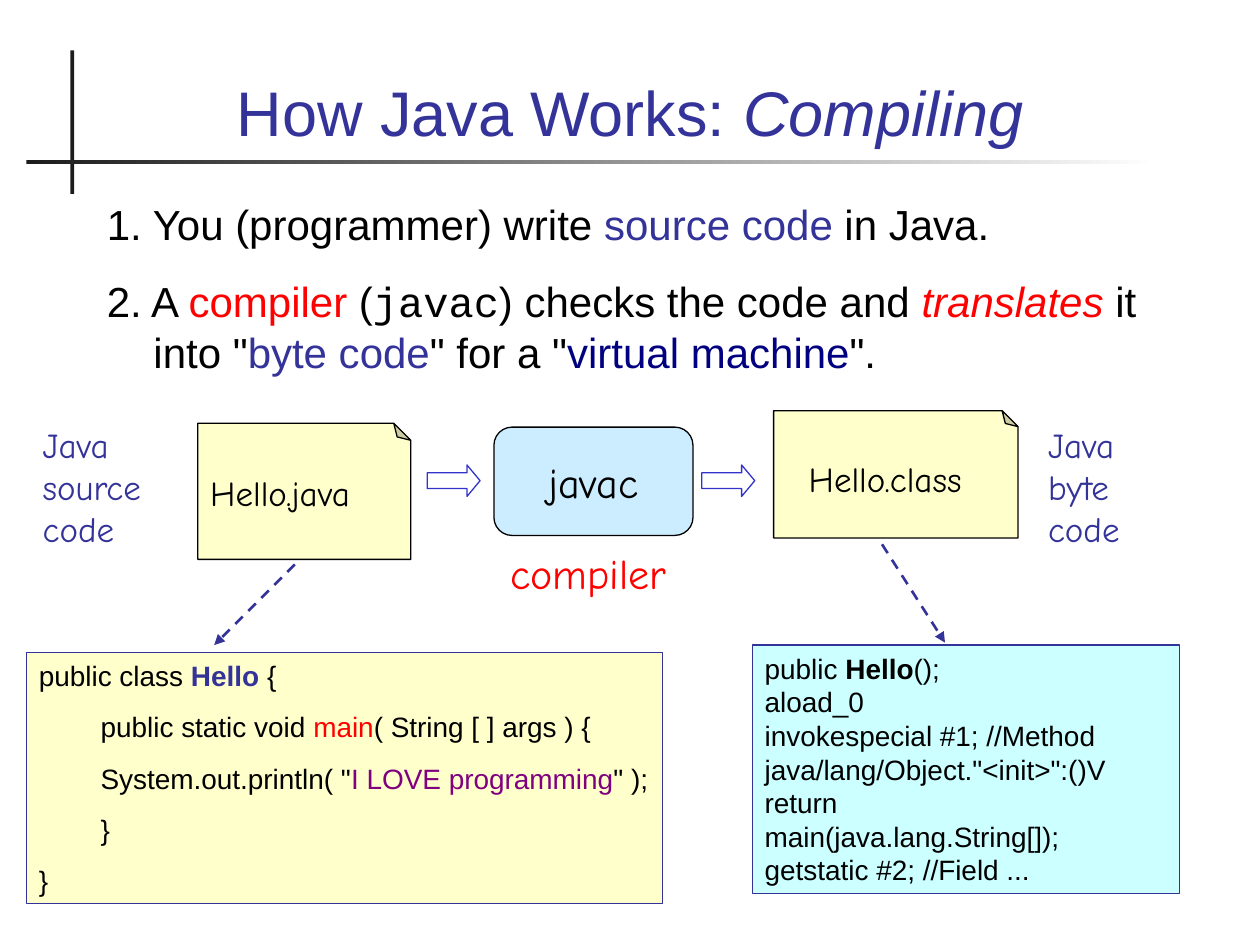
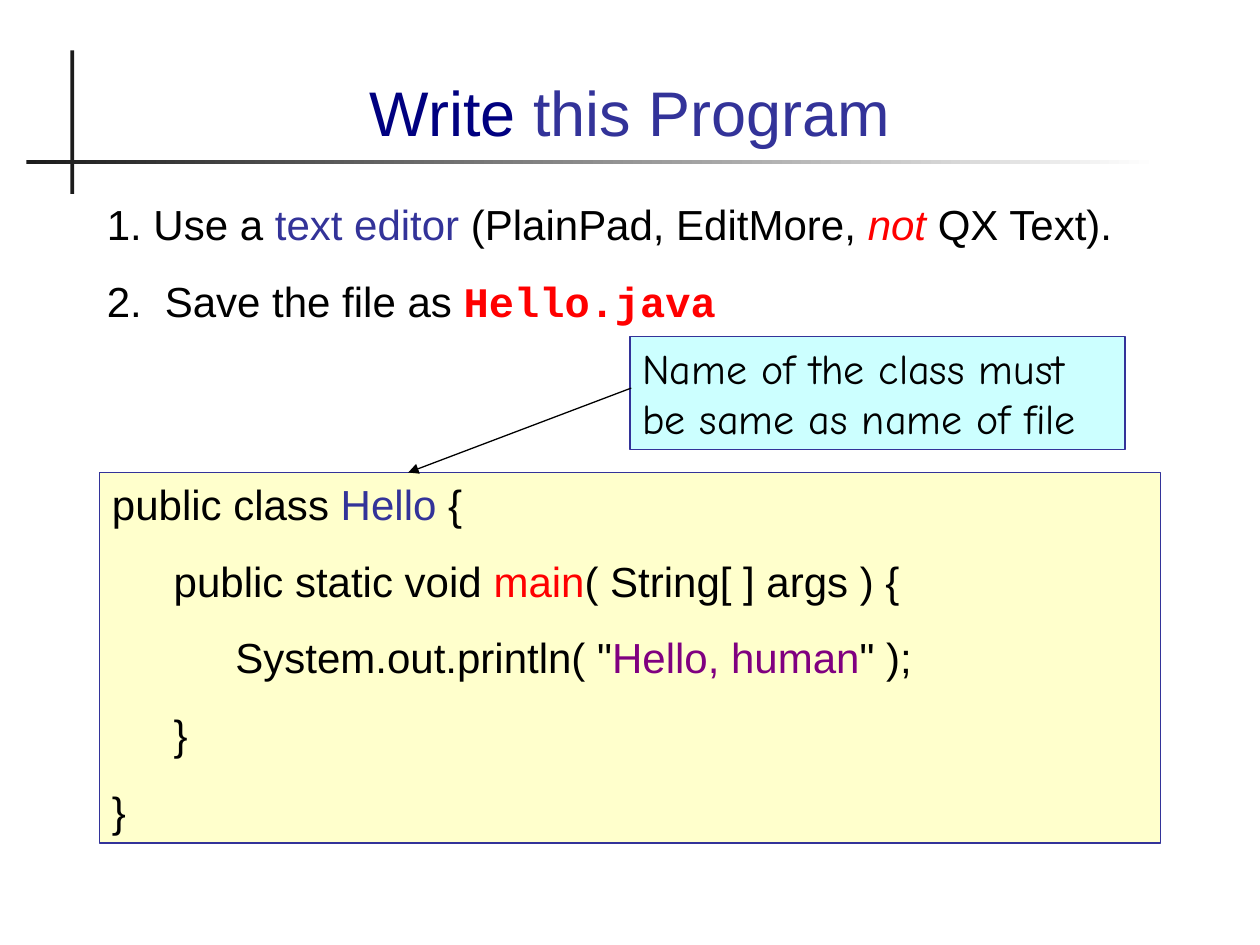
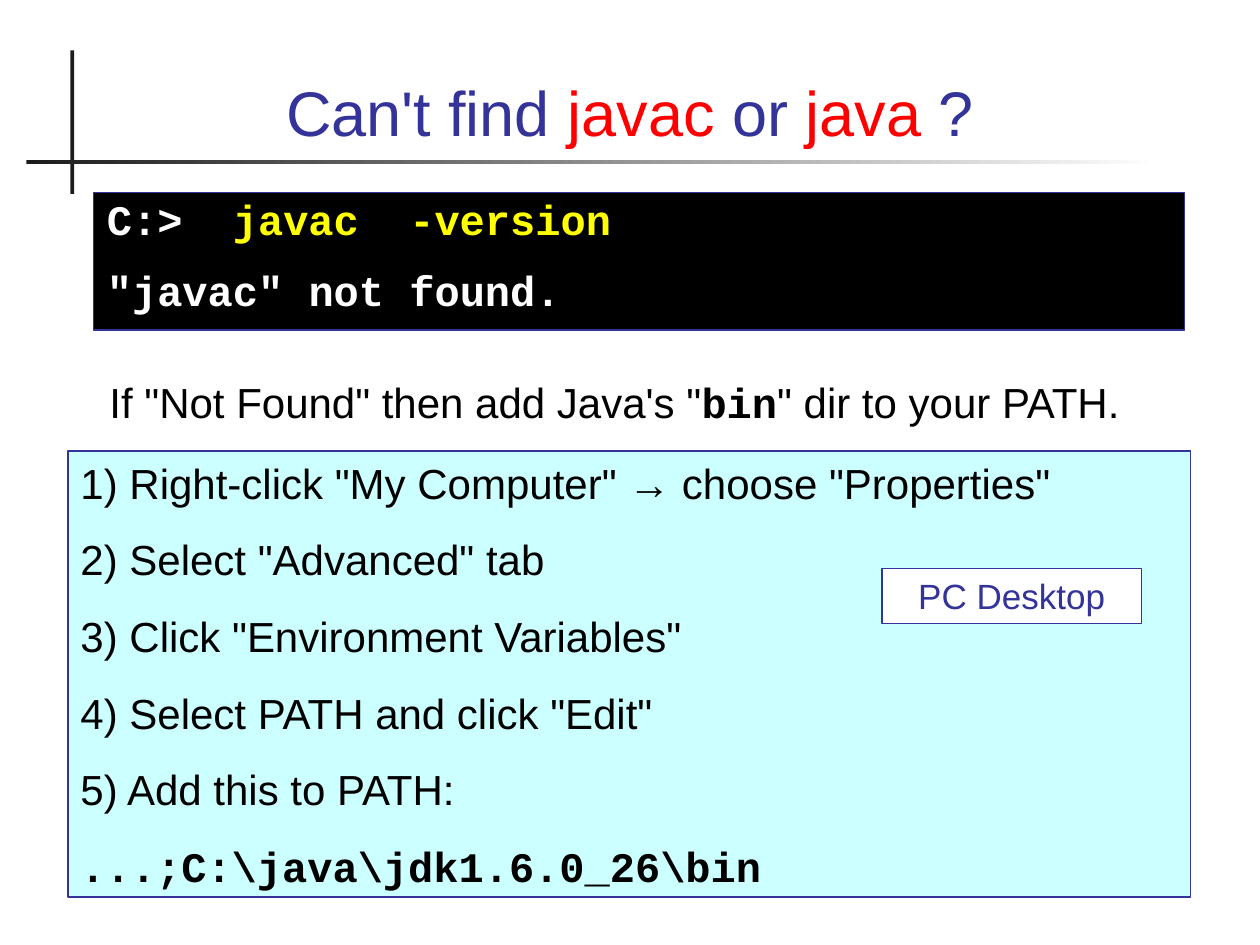
from dataclasses import dataclass
from typing import NamedTuple, Optional

import lxml.etree
import pptx
import pptx.dml.color
import pptx.enum.dml
import pptx.enum.shapes
import pptx.enum.text
import pptx.oxml.ns
import pptx.util

RGBColor = pptx.dml.color.RGBColor
Kind = pptx.enum.shapes.MSO_SHAPE
Align = pptx.enum.text.PP_ALIGN
Anchor = pptx.enum.text.MSO_ANCHOR
qn = pptx.oxml.ns.qn

# Shared colours
BLACK = RGBColor(0x00, 0x00, 0x00)
WHITE = RGBColor(0xFF, 0xFF, 0xFF)
CHARCOAL = RGBColor(0x1C, 0x1C, 0x1C)
INDIGO = RGBColor(0x33, 0x33, 0x99)
BLUE = RGBColor(0x33, 0x33, 0xCC)
NAVY = RGBColor(0x00, 0x00, 0x80)
RED = RGBColor(0xFF, 0x00, 0x00)
PURPLE = RGBColor(0x80, 0x00, 0x80)
YELLOW = RGBColor(0xFF, 0xFF, 0x00)
CREAM = RGBColor(0xFF, 0xFF, 0xCC)
AQUA = RGBColor(0xCC, 0xFF, 0xFF)
SKY = RGBColor(0xCC, 0xEC, 0xFF)

# Shared type
SANS = "Arial"
HAND = "Comic Neue"
MONO = "Courier New"
GAP = 0.625  # space between paragraphs, as a share of the text size

# Grid of 100 columns by 75 rows
WIDTH, HEIGHT = pptx.util.Inches(10), pptx.util.Inches(7.5)
COLUMN, ROW = WIDTH / 100, HEIGHT / 75
CODE_STEP = 4.9  # one level of code indentation, in columns
NUMBER_HANG = 3.7  # width kept for an item number, in columns


class Spot(NamedTuple):
    """Left and width in columns, top and height in rows."""
    left: float
    top: float
    width: float
    height: float

    def lengths(self) -> tuple[int, int, int, int]:
        return (round(self.left * COLUMN), round(self.top * ROW),
                round(self.width * COLUMN), round(self.height * ROW))


class Span(NamedTuple):
    text: str
    color: Optional[RGBColor] = None
    bold: bool = False
    italic: bool = False
    font: Optional[str] = None


class Line(NamedTuple):
    spans: tuple[Span, ...]
    indent: float = 0
    hang: float = 0


class Guide(NamedTuple):
    """Named preset adjustment, in thousandths of a percent."""
    name: str
    value: int


@dataclass(frozen=True)
class TextStyle:
    size: float = 24
    color: RGBColor = BLACK
    font: str = SANS
    align: Align = Align.LEFT
    anchor: Anchor = Anchor.TOP
    gap: float = GAP
    spacing: Optional[float] = None


@dataclass(frozen=True)
class Panel:
    spot: Spot
    lines: tuple[Line, ...] = ()
    style: TextStyle = TextStyle()
    kind: Optional[Kind] = None  # None gives a plain text box
    fill: Optional[RGBColor] = None
    border: RGBColor = INDIGO
    guides: tuple[Guide, ...] = ()
    flipped: bool = False


@dataclass(frozen=True)
class Arrow:
    start: tuple[float, float]
    end: tuple[float, float]
    color: RGBColor
    weight: float
    dashed: bool = False


TITLE_STYLE = TextStyle(36, INDIGO, align=Align.CENTER, anchor=Anchor.BOTTOM)
TITLE_SPOT = Spot(6.7, 2.8, 86.6, 9.5)
BODY = TextStyle()
SMALL_CODE = TextStyle(16)
BYTE_CODE = TextStyle(16, gap=0)
FILE_NAME = TextStyle(20, font=HAND)
SIDE_NOTE = TextStyle(20, INDIGO, HAND)


def line(*parts: str | Span, indent: float = 0, hang: float = 0) -> Line:
    spans = (part if isinstance(part, Span) else Span(part) for part in parts)
    return Line(tuple(spans), indent, hang)


def item(*parts: str | Span, hang: float = NUMBER_HANG) -> Line:
    return line(*parts, indent=hang + 0.1, hang=hang)


def code(level: int, *parts: str | Span) -> Line:
    return line(*parts, indent=level * CODE_STEP)


def write(frame, lines: tuple[Line, ...], style: TextStyle) -> None:
    frame.word_wrap = True
    frame.auto_size = pptx.enum.text.MSO_AUTO_SIZE.NONE
    frame.vertical_anchor = style.anchor
    for index, entry in enumerate(lines):
        para = frame.add_paragraph() if index else frame.paragraphs[0]
        para.alignment = style.align
        para.space_before = pptx.util.Pt(style.gap * style.size if index else 0)
        if style.spacing:
            para.line_spacing = style.spacing
        properties = para._p.get_or_add_pPr()
        properties.set("marL", str(round(entry.indent * COLUMN)))
        properties.set("indent", str(round(-entry.hang * COLUMN)))
        for span in entry.spans:
            if span.text == "\n":
                para.add_line_break()
                continue
            run = para.add_run()
            run.text = span.text
            run.font.size = pptx.util.Pt(style.size)
            run.font.name = span.font or style.font
            run.font.bold = span.bold
            run.font.italic = span.italic
            run.font.color.rgb = span.color or style.color


def set_guides(box, guides: tuple[Guide, ...]) -> None:
    values = box.element.spPr.find(qn("a:prstGeom")).find(qn("a:avLst"))
    for old in list(values):
        values.remove(old)
    for guide in guides:
        entry = lxml.etree.SubElement(values, qn("a:gd"))
        entry.set("name", guide.name)
        entry.set("fmla", f"val {guide.value}")


def draw_panel(page, panel: Panel) -> None:
    if panel.kind is None:
        box = page.shapes.add_textbox(*panel.spot.lengths())
    else:
        box = page.shapes.add_shape(panel.kind, *panel.spot.lengths())
        box.shadow.inherit = False
        box.line.color.rgb = panel.border
        box.line.width = pptx.util.Pt(0.75)
        if panel.fill is None:
            box.fill.background()
        else:
            box.fill.solid()
            box.fill.fore_color.rgb = panel.fill
        if panel.guides:
            set_guides(box, panel.guides)
        if panel.flipped:
            box.element.spPr.find(qn("a:xfrm")).set("flipV", "1")
    if panel.lines:
        write(box.text_frame, panel.lines, panel.style)


def draw_arrow(page, arrow: Arrow) -> None:
    (x1, y1), (x2, y2) = arrow.start, arrow.end
    connector = page.shapes.add_connector(
        pptx.enum.shapes.MSO_CONNECTOR.STRAIGHT,
        round(x1 * COLUMN), round(y1 * ROW), round(x2 * COLUMN), round(y2 * ROW))
    connector.line.color.rgb = arrow.color
    connector.line.width = pptx.util.Pt(arrow.weight)
    if arrow.dashed:
        connector.line.dash_style = pptx.enum.dml.MSO_LINE.DASH
    properties = connector.element.spPr
    head = lxml.etree.SubElement(properties.find(qn("a:ln")), qn("a:tailEnd"))
    head.set("type", "triangle")
    lxml.etree.SubElement(properties, qn("a:effectLst"))


def draw_title_rules(page) -> None:
    """Dark upright bar crossed by a rule that fades to the right."""
    upright, rule = (
        page.shapes.add_shape(Kind.RECTANGLE, *spot.lengths())
        for spot in (Spot(5.6, 4, 0.3, 11.4), Spot(2.1, 12.7, 89.9, 0.3)))
    for bar in (upright, rule):
        bar.shadow.inherit = False
        bar.line.fill.background()
    upright.fill.solid()
    upright.fill.fore_color.rgb = CHARCOAL
    rule.fill.gradient()
    rule.fill.gradient_angle = 0
    for stop, color in zip(rule.fill.gradient_stops, (CHARCOAL, WHITE)):
        stop.color.rgb = color


def add_page(deck, title: Line, panels: list[Panel], arrows: list[Arrow]) -> None:
    page = deck.slides.add_slide(deck.slide_layouts.get_by_name("Title Only"))
    draw_title_rules(page)
    heading = page.shapes.title
    heading.left, heading.top, heading.width, heading.height = TITLE_SPOT.lengths()
    write(heading.text_frame, (title,), TITLE_STYLE)
    for panel in panels:
        draw_panel(page, panel)
    for arrow in arrows:
        draw_arrow(page, arrow)


def sheet(spot: Spot) -> Panel:
    """Page with a folded top right corner, standing for a file."""
    return Panel(spot, kind=Kind.FOLDED_CORNER, fill=CREAM, border=BLACK,
                 guides=(Guide("adj", 12500),), flipped=True)


def block(spot: Spot, fill: RGBColor, style: TextStyle, *lines: Line) -> Panel:
    return Panel(spot, lines, style, Kind.RECTANGLE, fill)


def label(spot: Spot, style: TextStyle, *lines: Line) -> Panel:
    return Panel(spot, lines, style)


def add_compiling(deck) -> None:
    steps = label(
        Spot(7.4, 15.3, 84.3, 20.5), BODY,
        item("1. You (programmer) write ", Span("source code", INDIGO), " in Java."),
        item("2. A ", Span("compiler", RED), " (", Span("javac", font=MONO),
             ") checks the code and ", Span("translates", RED, italic=True),
             " it into \"", Span("byte code", INDIGO), "\" for a \"",
             Span("virtual machine", NAVY), "\"."))
    # Flow from source file through compiler to class file
    flow = [
        sheet(Spot(15.7, 33.6, 16.9, 10.8)),
        label(Spot(15.7, 36.9, 16.9, 4.4), FILE_NAME, line("Hello.java")),
        Panel(Spot(39.2, 33.9, 15.8, 8.6), (line("javac"),),
              TextStyle(font=HAND, align=Align.CENTER, anchor=Anchor.MIDDLE),
              Kind.ROUNDED_RECTANGLE, SKY, BLACK),
        label(Spot(39.5, 43, 16.4, 5), TextStyle(24, RED, HAND), line("compiler")),
        sheet(Spot(61.4, 32.6, 19.4, 10.1)),
        label(Spot(63.2, 35.8, 16.4, 4.4), FILE_NAME, line("Hello.class")),
        label(Spot(82.2, 33.1, 10.4, 11), SIDE_NOTE, line("Java", "\n", "byte code")),
        label(Spot(2.4, 33.1, 12.2, 11), SIDE_NOTE, line("Java source code")),
    ]
    flow += [Panel(Spot(left, 36.9, 4.2, 2.5), kind=Kind.RIGHT_ARROW, border=BLUE,
                   guides=(Guide("adj1", 50000), Guide("adj2", 41700)))
             for left in (33.9, 55.7)]
    # What each file holds
    listings = [
        block(Spot(2.1, 51.8, 50.5, 19.9), CREAM, SMALL_CODE,
              code(0, "public class ", Span("Hello", INDIGO, bold=True), " {"),
              code(1, "public static void ", Span("main", RED), "( String [ ] args ) {"),
              code(1, "System.out.println( \"", Span("I LOVE programming", PURPLE), "\" );"),
              code(1, "}"),
              code(0, "}")),
        block(Spot(59.7, 51.2, 33.9, 19.7), AQUA, BYTE_CODE,
              line("public ", Span("Hello", bold=True), "();"),
              line("aload_0"),
              line("invokespecial #1; //Method java/lang/Object.\"<init>\":()V"),
              line("return"),
              line("main(java.lang.String[]);"),
              line("getstatic #2; //Field ...")),
    ]
    add_page(deck, line("How Java Works: ", Span("Compiling", italic=True)),
             [steps, *flow, *listings],
             [Arrow((23.4, 44.8), (17, 51.2), INDIGO, 1.5, dashed=True),
              Arrow((70, 43.2), (75, 51), INDIGO, 1.5, dashed=True)])


def add_write_program(deck) -> None:
    panels = [
        label(Spot(7.4, 15.3, 86.6, 13.9), BODY,
              item("1.\tUse a ", Span("text editor", INDIGO), " (PlainPad, EditMore, ",
                   Span("not", RED, italic=True), " QX Text)."),
              item("2.\tSave the file as ",
                   Span("Hello.java", RED, bold=True, font=MONO), hang=4.6)),
        block(Spot(7.9, 37.5, 84.2, 29.4), CREAM, BODY,
              code(0, "public class ", Span("Hello", INDIGO), " {"),
              code(1, "public static void ", Span("main", RED), "( String[ ] args ) {"),
              code(2, "System.out.println( \"", Span("Hello, human", PURPLE), "\" );"),
              code(1, "}"),
              code(0, "}")),
        block(Spot(50, 26.7, 39.3, 9), AQUA, TextStyle(font=HAND),
              line("Name of the class must be same as name of file")),
    ]
    add_page(deck, line(Span("Write", NAVY), " this Program"), panels,
             [Arrow((50.1, 30.8), (32.4, 37.5), BLACK, 0.75)])


def add_path_help(deck) -> None:
    terminal = TextStyle(color=WHITE, font=MONO, spacing=0.9)
    panels = [
        block(Spot(7.4, 15.3, 86.6, 10.9), BLACK, terminal,
              item(Span("C:> ", bold=True), Span(" javac  -version", YELLOW, bold=True)),
              item(Span("\"javac\" not found.", bold=True))),
        label(Spot(7.7, 29.4, 86.2, 5), BODY,
              line("If \"Not Found\" then add Java's \"",
                   Span("bin", bold=True, font=MONO), "\" dir to your PATH.")),
        block(Spot(5.4, 35.8, 89.1, 35.4), AQUA, BODY,
              line("1) Right-click \"My Computer\" → choose \"Properties\""),
              line("2) Select \"Advanced\" tab"),
              line("3) Click \"Environment Variables\""),
              line("4) Select PATH and click \"Edit\""),
              line("5) Add this to PATH:"),
              line(Span("...;C:\\java\\jdk1.6.0_26\\bin", bold=True, font=MONO))),
        block(Spot(70, 45.1, 20.6, 4.4), WHITE,
              TextStyle(20, INDIGO, align=Align.CENTER), line("PC Desktop")),
    ]
    add_page(deck, line("Can't find ", Span("javac", RED), " or ", Span("java", RED), " ?"),
             panels, [])


def main() -> None:
    deck = pptx.Presentation()
    deck.slide_width, deck.slide_height = WIDTH, HEIGHT
    add_compiling(deck)
    add_write_program(deck)
    add_path_help(deck)
    deck.save("out.pptx")


if __name__ == "__main__":
    main()
